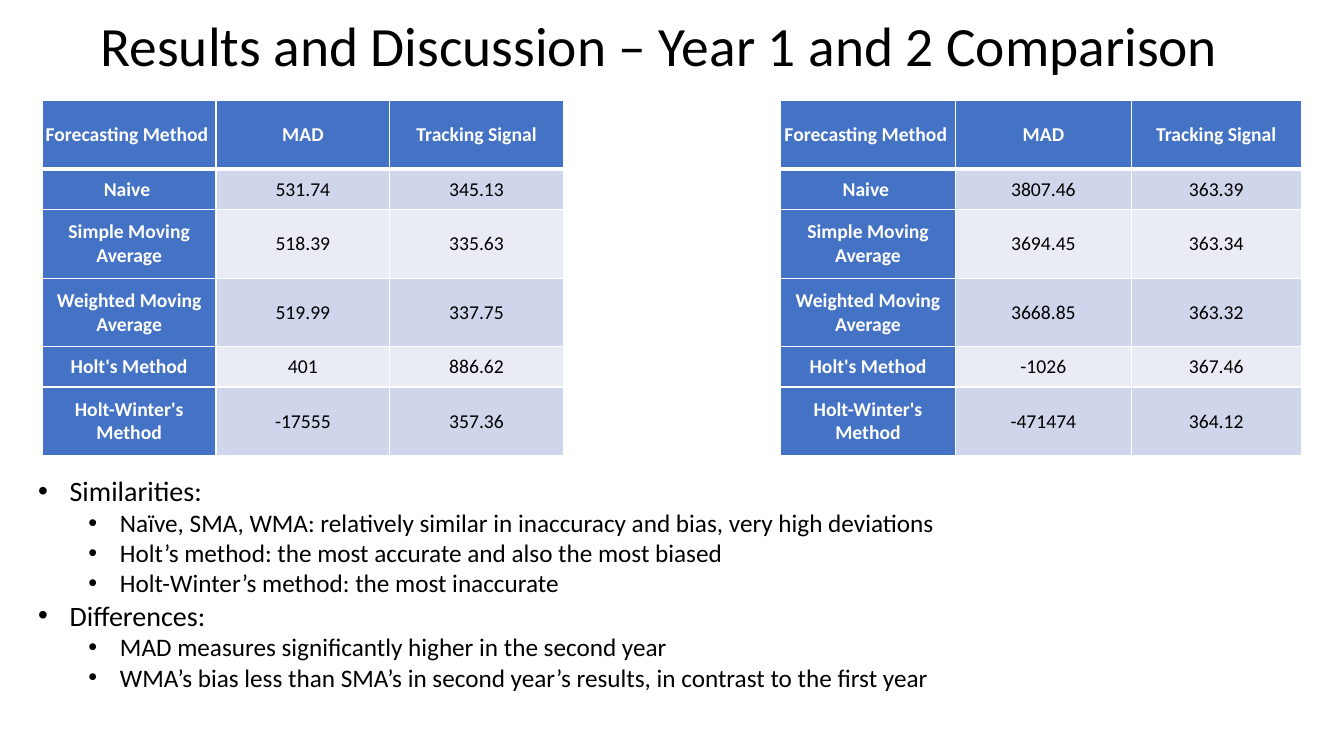
from dataclasses import dataclass

from lxml import etree
from pptx import Presentation
from pptx import util as u
from pptx.dml.color import RGBColor
from pptx.enum import text
from pptx.oxml import ns

GRID_COLUMNS, GRID_ROWS = 160, 90


@dataclass(frozen=True)
class Theme:
    font: str = "Calibri"
    ink: str = "000000"
    paper: str = "FFFFFF"
    header: str = "4472C4"
    bands: tuple = ("CFD5EA", "E9EBF5")
    title_size: float = 39.6
    cell_size: float = 14
    bullet_sizes: tuple = (20, 18)
    thin: float = 1
    thick: float = 3


THEME = Theme()
presentation = Presentation()
presentation.slide_width, presentation.slide_height = u.Inches(13.33), u.Inches(7.5)


def columns(count):
    return round(presentation.slide_width * count / GRID_COLUMNS)


def rows(count):
    return round(presentation.slide_height * count / GRID_ROWS)


def place(box):
    left, top, width, height = box
    return columns(left), rows(top), columns(width), rows(height)


def set_values(target, values):
    for name, value in values.items():
        setattr(target, name, value)


def write(paragraph, words, size, color, bold=False):
    run = paragraph.add_run()
    run.text = words
    set_values(run.font, {"name": THEME.font, "size": u.Pt(size), "bold": bold})
    run.font.color.rgb = RGBColor.from_string(color)


def add_title(slide, box, words):
    frame = slide.shapes.add_textbox(*place(box)).text_frame
    set_values(frame, {"word_wrap": True, "vertical_anchor": text.MSO_ANCHOR.MIDDLE})
    paragraph = frame.paragraphs[0]
    paragraph.line_spacing = 0.9
    write(paragraph, words, THEME.title_size, THEME.ink)


def add_borders(cell, bottom):
    properties = cell._tc.get_or_add_tcPr()
    widths = {"lnL": THEME.thin, "lnR": THEME.thin, "lnT": THEME.thin, "lnB": bottom}
    for side, width in widths.items():
        line = etree.SubElement(properties, ns.qn(f"a:{side}"), w=str(u.Pt(width)))
        fill = etree.SubElement(line, ns.qn("a:solidFill"))
        etree.SubElement(fill, ns.qn("a:srgbClr"), val=THEME.paper)


def add_results(slide, box, column_widths, row_heights, records):
    table = slide.shapes.add_table(len(records), len(records[0]), *place(box)).table
    table.first_col = True
    for column, width in zip(table.columns, column_widths):
        column.width = columns(width)
    for row, height in zip(table.rows, row_heights):
        row.height = rows(height)
    margins = {"margin_left": columns(0.36), "margin_right": columns(0.36),
               "margin_top": rows(0.24), "margin_bottom": rows(0.24)}
    for i, record in enumerate(records):
        for j, words in enumerate(record):
            cell = table.cell(i, j)
            heading = i == 0 or j == 0
            set_values(cell, {**margins, "vertical_anchor": text.MSO_ANCHOR.MIDDLE})
            add_borders(cell, THEME.thin if i else THEME.thick)
            cell.fill.solid()
            color = THEME.header if heading else THEME.bands[(i - 1) % 2]
            cell.fill.fore_color.rgb = RGBColor.from_string(color)
            paragraph = cell.text_frame.paragraphs[0]
            paragraph.alignment = text.PP_ALIGN.CENTER
            write(paragraph, words, THEME.cell_size,
                  THEME.paper if heading else THEME.ink, heading)


def add_findings(slide, box, findings):
    frame = slide.shapes.add_textbox(*place(box)).text_frame
    frame.word_wrap = True
    lines = [(level, words) for topic, points in findings.items()
             for level, words in [(0, topic), *((1, point) for point in points)]]
    for index, (level, words) in enumerate(lines):
        paragraph = frame.add_paragraph() if index else frame.paragraphs[0]
        set_values(paragraph, {"level": level, "alignment": text.PP_ALIGN.JUSTIFY})
        properties = paragraph._p.get_or_add_pPr()
        properties.set("marL", str(columns(3.75 + 6 * level)))
        properties.set("indent", str(-columns(3.75)))
        etree.SubElement(properties, ns.qn("a:buFont"), typeface="Arial")
        etree.SubElement(properties, ns.qn("a:buChar"), char="•")
        write(paragraph, words, THEME.bullet_sizes[level], THEME.ink)


HEADINGS = ("Forecasting Method ", "MAD", "Tracking Signal")
METHODS = ("Naive ", "Simple Moving Average", "Weighted Moving Average",
           "Holt's Method", "Holt-Winter's Method")
ROW_HEIGHTS = (8.16, 4.8, 8.16, 8.16, 4.8, 8.16)
YEARS = (
    (5.04, (20.68, 20.68, 20.68),
     ("531.74", "518.39", "519.99", "401", "-17555"),
     ("345.13", "335.63", "337.75", "886.62", "357.36")),
    (92.9, (20.88, 20.88, 20.28),
     ("3807.46", "3694.45", "3668.85", "-1026", "-471474"),
     ("363.39", "363.34", "363.32", "367.46", "364.12")),
)
FINDINGS = {
    "Similarities: ": (
        "Naïve, SMA, WMA: relatively similar in inaccuracy and bias, very high deviations",
        "Holt’s method: the most accurate and also the most biased",
        "Holt-Winter’s method: the most inaccurate",
    ),
    "Differences: ": (
        "MAD measures significantly higher in the second year",
        "WMA’s bias less than SMA’s in second year’s results, in contrast to the first year",
    ),
}


def build_comparison(slide):
    add_title(slide, (10.8, -0.36, 144.16, 12.24),
              "Results and Discussion – Year 1 and 2 Comparison")
    for left, widths, deviations, signals in YEARS:
        records = [HEADINGS, *zip(METHODS, deviations, signals)]
        add_results(slide, (left, 12, sum(widths), sum(ROW_HEIGHTS)),
                    widths, ROW_HEIGHTS, records)
    add_findings(slide, (3.36, 55.8, 153.28, 31.08), FINDINGS)


build_comparison(presentation.slides.add_slide(presentation.slide_layouts[6]))
presentation.save("out.pptx")
